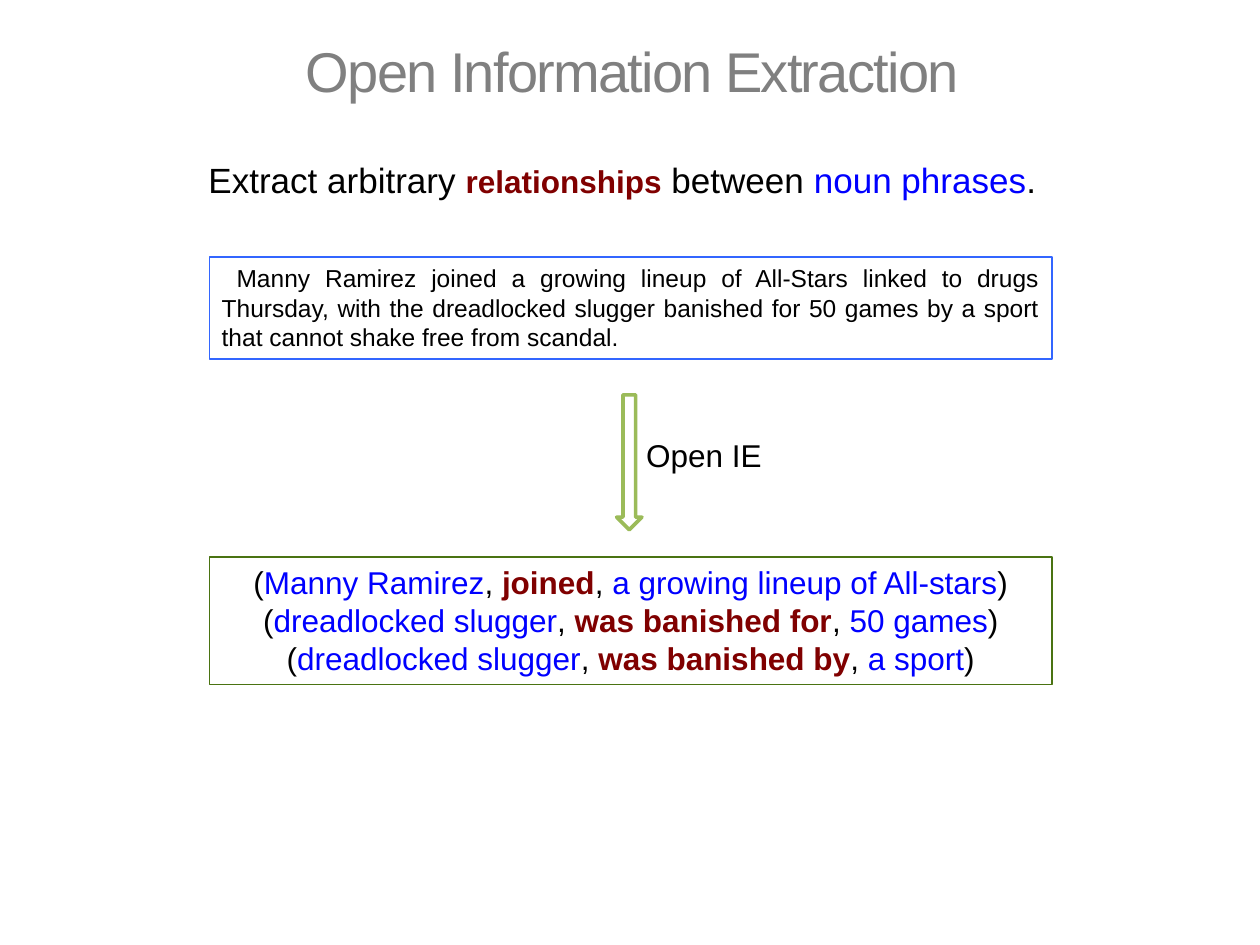
from pptx import Presentation
from pptx.dml.color import RGBColor
from pptx.enum.shapes import MSO_SHAPE as Shape
from pptx.enum.text import MSO_ANCHOR as Anchor, MSO_AUTO_SIZE as AutoSize, PP_ALIGN as Align
from pptx.util import Cm, Pt

BLACK, BLUE, MAROON = "000000", "0000FF", "800000"


def color(value):
    """Turn a hex string into a colour."""
    return RGBColor.from_string(value)


def add_span(para, text, size, ink=BLACK, bold=False):
    """Append one formatted run to a paragraph."""
    span = para.add_run()
    span.text = text
    formats = {"name": "Arial", "size": Pt(size), "bold": bold}
    for name, value in formats.items():
        setattr(span.font, name, value)
    span.font.color.rgb = color(ink)
    return span


def add_text(page, box, lines, align, border=None):
    """Place a text box of span lists, with an optional border."""
    area = page.shapes.add_textbox(*map(Cm, box))
    frame = area.text_frame
    frame.word_wrap = True
    frame.auto_size = AutoSize.SHAPE_TO_FIT_TEXT
    for index, spans in enumerate(lines):
        para = frame.add_paragraph() if index else frame.paragraphs[0]
        para.alignment = align
        for span in spans:
            add_span(para, *span)
    if border:
        area.line.color.rgb = color(border)
        area.line.width = Pt(0.75)
    return area


def add_title(page, box, text):
    """Move and format the title placeholder."""
    title = page.shapes.title
    for name, value in zip(("left", "top", "width", "height"), box):
        setattr(title, name, Cm(value))
    title.text_frame.vertical_anchor = Anchor.MIDDLE
    para = title.text_frame.paragraphs[0]
    para.alignment = Align.CENTER
    span = add_span(para, text, 32, "808080")
    span.font._element.set("spc", "-100")


def add_sentence(page, box, text):
    """Place the justified source sentence with an indented first line."""
    area = add_text(page, box, [[(text, 14)]], Align.JUSTIFY, "3366FF")
    properties = area.text_frame.paragraphs[0]._p.get_or_add_pPr()
    properties.set("indent", str(Cm(0.3)))


def add_step(page, box, text):
    """Place a downward arrow with its label on the right."""
    left, top, width, height = box
    length, thickness = height, 0.51
    middle = left + thickness / 2
    arrow = page.shapes.add_shape(
        Shape.RIGHT_ARROW, Cm(middle - length / 2), Cm(top + (length - thickness) / 2),
        Cm(length), Cm(thickness))
    arrow.rotation = 90
    arrow.shadow.inherit = False
    arrow.fill.solid()
    arrow.fill.fore_color.rgb = color("FFFFFF")
    arrow.line.color.rgb = color("9BBB59")
    arrow.line.width = Pt(2.08)
    label = (middle + 0.09, top + 0.7, width - thickness / 2 - 0.09, 1.02)
    add_text(page, label, [[(text, 18)]], Align.LEFT)


def add_tuples(page, box, tuples):
    """Place the extracted triples, one per line."""
    lines = [
        [("(", 18), (subject, 18, BLUE), (", ", 18), (relation, 18, MAROON, True),
         (", ", 18), (target, 18, BLUE), (")", 18)]
        for subject, relation, target in tuples]
    add_text(page, box, lines, Align.CENTER, "4A7312")


def main():
    """Build and save the deck."""
    deck = Presentation()
    deck.slide_width, deck.slide_height = Cm(25.4), Cm(19.05)
    page = deck.slides.add_slide(deck.slide_layouts[5])
    add_title(page, (0.94, 0.05, 23.62, 2.74), "Open Information Extraction")
    add_text(page, (1.37, 3.07, 22.35, 1.12), [[
        ("Extract arbitrary ", 20), ("relationships", 18, MAROON, True),
        (" between ", 20), ("noun phrases", 20, BLUE), (".", 20)]], Align.CENTER)
    add_tuples(page, (4.22, 11.23, 16.99, 2.57), [
        ("Manny Ramirez", "joined", "a growing lineup of All-stars"),
        ("dreadlocked slugger", "was banished for", "50 games"),
        ("dreadlocked slugger", "was banished by", "a sport")])
    add_sentence(
        page, (4.22, 5.18, 16.99, 2.06),
        "Manny Ramirez joined a growing lineup of All-Stars linked to drugs Thursday, "
        "with the dreadlocked slugger banished for 50 games by a sport that cannot "
        "shake free from scandal.")
    add_step(page, (12.43, 7.96, 5.33, 2.72), "Open IE")
    deck.save("out.pptx")


if __name__ == "__main__":
    main()
